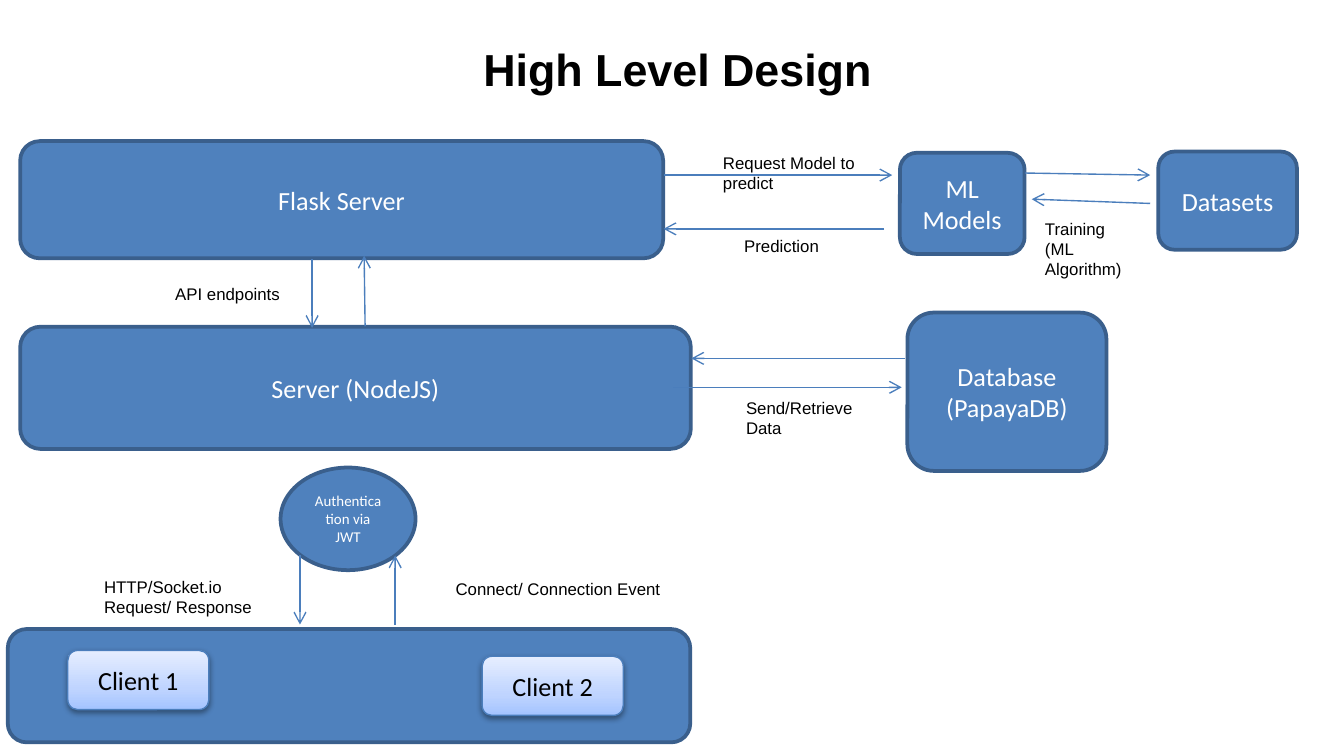
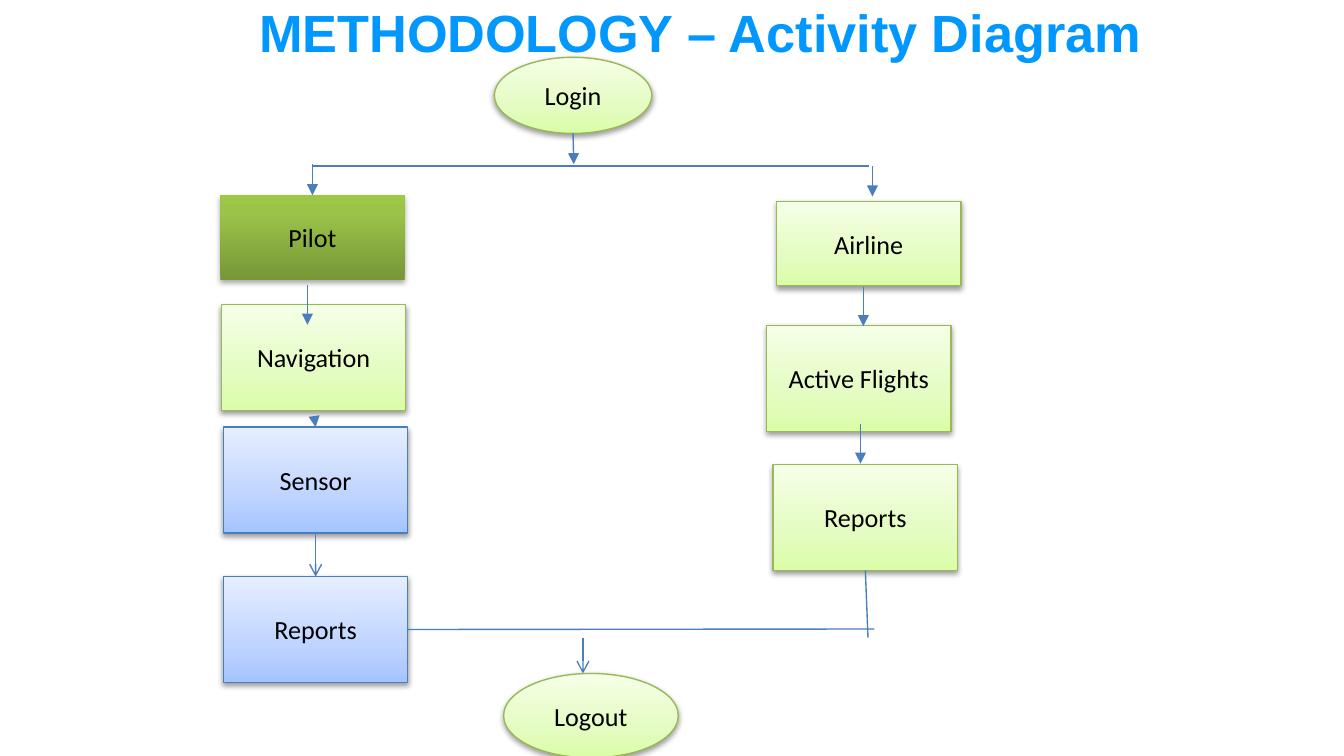
import pptx
import pptx.util
import pptx.dml.color
import pptx.enum.dml
import pptx.enum.shapes
import pptx.enum.text
import pptx.oxml.ns
import lxml.etree

Pt = pptx.util.Pt
RGBColor = pptx.dml.color.RGBColor
SHAPE = pptx.enum.shapes.MSO_SHAPE
ALIGN = pptx.enum.text.PP_ALIGN
ANCHOR = pptx.enum.text.MSO_ANCHOR
AUTO_SIZE = pptx.enum.text.MSO_AUTO_SIZE
qn = pptx.oxml.ns.qn

# Shared colours
WHITE = RGBColor(0xFF, 0xFF, 0xFF)
BLACK = RGBColor(0x00, 0x00, 0x00)
HEADING_BLUE = RGBColor(0x00, 0x98, 0xFF)
SOLID_BLUE = RGBColor(0x4F, 0x81, 0xBD)
DARK_BLUE = RGBColor(0x3A, 0x5F, 0x8C)
ARROW_BLUE = RGBColor(0x4B, 0x7E, 0xBC)
LIME_EDGE = RGBColor(0x98, 0xB9, 0x55)
BLUE_FADE = ((0, RGBColor(0xA4, 0xC4, 0xFF)), (35, RGBColor(0xBF, 0xD4, 0xFF)),
             (100, RGBColor(0xE6, 0xEE, 0xFF)))
LIME_FADE = ((0, RGBColor(0xDA, 0xFD, 0xA7)), (35, RGBColor(0xE4, 0xFC, 0xC2)),
             (100, RGBColor(0xF5, 0xFF, 0xE7)))
GREEN_FADE = ((0, RGBColor(0x77, 0x97, 0x37)), (80, RGBColor(0x9B, 0xC3, 0x48)),
              (100, RGBColor(0x9D, 0xC7, 0x46)))

# Box looks: fill (colour or fade), edge, edge width, text colour, shadow (opacity, distance)
LOOKS = {
    "solid": (SOLID_BLUE, DARK_BLUE, 2, WHITE, None),
    "blue": (BLUE_FADE, ARROW_BLUE, 0.75, BLACK, (38, 1.6)),
    "lime": (LIME_FADE, LIME_EDGE, 0.75, BLACK, (38, 1.6)),
    "green": (GREEN_FADE, None, 0, BLACK, (35, 1.8)),
}
SHADOW_BLUR = 3.1

# Text formats
BOX_FONT = {"name": "Calibri", "size": Pt(14)}
SMALL_FONT = {"name": "Calibri", "size": Pt(8)}
LABEL_FONT = {"name": "Arial", "size": Pt(9)}
DESIGN_FONT = {"name": "Arial", "size": Pt(24), "bold": True}
METHOD_FONT = {"name": "Arial", "size": Pt(28), "bold": True}
BOX_FRAME = {"word_wrap": True, "vertical_anchor": ANCHOR.MIDDLE}
LABEL_FRAME = {"word_wrap": True, "auto_size": AUTO_SIZE.SHAPE_TO_FIT_TEXT}
METHOD_FRAME = {"word_wrap": True, "vertical_anchor": ANCHOR.BOTTOM,
                "margin_top": Pt(7.2), "margin_bottom": Pt(7.2)}

# Slide 1: key: (text, outline, look, font, left, top, width, height)
ROUND, OVAL, RECT = SHAPE.ROUNDED_RECTANGLE, SHAPE.OVAL, SHAPE.RECTANGLE
CLIENT_SIZE = (75.6, 31.7)
DESIGN_BOXES = {
    "node": ("Server (NodeJS)", ROUND, "solid", BOX_FONT, 10.8, 175, 359.3, 65.5),
    "flask": ("Flask Server", ROUND, "solid", BOX_FONT, 10.8, 75.6, 344.5, 62.8),
    "login check": ("Authentication via JWT", OVAL, "solid", SMALL_FONT, 150.3, 250.5, 72.3, 55),
    "database": ("Database\n(PapayaDB)", ROUND, "solid", BOX_FONT, 486.1, 167.5, 106.6, 84.8),
    "models": ("ML Models", ROUND, "solid", BOX_FONT, 482.1, 81.9, 66.8, 54.2),
    "clients": ("", ROUND, "solid", BOX_FONT, 4.2, 337, 365.6, 60.7),
    "client 1": ("Client 1", ROUND, "blue", BOX_FONT, 36.3, 348.5, *CLIENT_SIZE),
    "client 2": ("Client 2", ROUND, "blue", BOX_FONT, 258.3, 351.6, *CLIENT_SIZE),
    "datasets": ("Datasets", ROUND, "solid", BOX_FONT, 620.5, 81.2, 74.3, 52.6),
}
DESIGN_LABELS = [
    ("HTTP/Socket.io Request/ Response", 48.7, 305.5, 110.2, 29),
    ("Connect/ Connection Event", 237, 306.3, 126.7, 18),
    ("API endpoints", 86.8, 148.3, 79.2, 18),
    ("Send/Retrieve Data", 392.6, 209.5, 79.2, 29),
    ("Training (ML Algorithm)", 552.7, 113.6, 63.4, 40),
    ("Prediction", 391.6, 122.6, 59.8, 18),
    ("Request Model to predict", 380.2, 78.2, 104.4, 29),
]
# Lines: (from x, y), (to x, y), head, box side it leaves, box side it reaches
DESIGN_LINES = [
    ((211.7, 334.8), (211.7, 297.6), "arrow", None, None),
    ((160.7, 297.6), (160.7, 334.6), "arrow", None, None),
    ((195.6, 174.8), (195.1, 137), "arrow", None, None),
    ((167.2, 139), (167.2, 175.7), "arrow", None, None),
    ((355.5, 93.8), (478, 93.8), "arrow", None, None),
    ((549, 92.7), (616.2, 93.8), "arrow", None, None),
    ((360.7, 207.5), (483.1, 207.5), "arrow", None, None),
    ((484.8, 192), (370.4, 192), "arrow", None, None),
    ((473.6, 122.6), (355.5, 122.6), "arrow", None, None),
    ((616.2, 109), (552.7, 106.7), "arrow", None, None),
]

# Slide 2
LOW, TALL = (98.8, 45.2), (98.8, 56.7)
ACTIVITY_BOXES = {
    "login": ("Login", OVAL, "lime", BOX_FONT, 264.8, 30.7, 84.4, 40.8),
    "pilot": ("Pilot", RECT, "green", BOX_FONT, 118, 104.6, *LOW),
    "airline": ("Airline", RECT, "lime", BOX_FONT, 416, 107.9, *LOW),
    "navigation": ("Navigation", RECT, "lime", BOX_FONT, 118.6, 163.2, *TALL),
    "flights": ("Active Flights", RECT, "lime", BOX_FONT, 410.7, 174.4, *TALL),
    "sensor": ("Sensor", RECT, "blue", BOX_FONT, 119.7, 228.8, *TALL),
    "airline reports": ("Reports", RECT, "lime", BOX_FONT, 414.2, 248.9, *TALL),
    "logout": ("Logout", OVAL, "lime", BOX_FONT, 269.8, 360.8, 93.6, 45.2),
    "pilot reports": ("Reports", RECT, "blue", BOX_FONT, 119.7, 308.9, *TALL),
}
TOP, BOTTOM, RIGHT = 0, 2, 3
ACTIVITY_LINES = [
    ((307, 71.5), (307.4, 88), "triangle", None, None),
    ((167.6, 89), (465.3, 89), None, None, None),
    ((167.4, 88), (167.4, 104.6), "triangle", None, ("pilot", TOP)),
    ((467.4, 89), (467.4, 105.3), "triangle", None, None),
    ((164.7, 152.8), (164.7, 174), "triangle", None, None),
    ((462.5, 153.6), (462.5, 174.8), "triangle", None, None),
    ((461, 227), (461, 248.4), "triangle", None, None),
    ((168.5, 224.6), (169.1, 228.8), "triangle", None, ("sensor", TOP)),
    ((312.3, 341.6), (312.3, 360.8), "arrow", None, None),
    ((218.5, 337.2), (468.4, 337), None, ("pilot reports", RIGHT), None),
    ((463.6, 305.6), (465, 341.6), None, ("airline reports", BOTTOM), None),
    ((169.1, 285.5), (169.1, 308.9), "arrow", ("sensor", BOTTOM), ("pilot reports", TOP)),
]


def add_xml(parent, tag, **attributes):
    return lxml.etree.SubElement(parent, qn(tag), {k: str(v) for k, v in attributes.items()})


def apply_format(target, values):
    for attribute, value in values.items():
        setattr(target, attribute, value)


def write_text(shape, text, font, colour, align, frame_format):
    frame = shape.text_frame
    apply_format(frame, frame_format)
    frame.text = text
    for paragraph in frame.paragraphs:
        paragraph.alignment = align
        for run in paragraph.runs:
            apply_format(run.font, font)
            run.font.color.rgb = colour


def add_label(slide, text, place, font, colour=BLACK, align=ALIGN.LEFT, frame_format=LABEL_FRAME):
    label = slide.shapes.add_textbox(*map(Pt, place))
    write_text(label, text, font, colour, align, frame_format)


def fill_fade(shape, stops):
    """Fade upwards through the given (percent, colour) stops."""
    shape.fill.gradient()
    shape.fill.gradient_angle = 90
    stop_list = shape.element.spPr.find(qn("a:gradFill")).find(qn("a:gsLst"))
    for stop in list(stop_list):
        stop_list.remove(stop)
    for percent, colour in stops:
        stop = add_xml(stop_list, "a:gs", pos=percent * 1000)
        add_xml(stop, "a:srgbClr", val=colour)


def cast_shadow(shape, opacity, distance):
    effects = shape.element.spPr.find(qn("a:effectLst"))
    shadow = add_xml(effects, "a:outerShdw", blurRad=Pt(SHADOW_BLUR), dist=Pt(distance),
                     dir=90 * 60000, rotWithShape=0)
    colour = add_xml(shadow, "a:srgbClr", val=BLACK)
    add_xml(colour, "a:alpha", val=opacity * 1000)


def add_box(slide, text, outline, look, font, *place):
    fill, edge, edge_width, text_colour, shadow = LOOKS[look]
    box = slide.shapes.add_shape(outline, *map(Pt, place))
    if isinstance(fill, RGBColor):
        box.fill.solid()
        box.fill.fore_color.rgb = fill
    else:
        fill_fade(box, fill)
    if edge is None:
        box.line.fill.background()
    else:
        box.line.color.rgb = edge
        box.line.width = Pt(edge_width)
    box.shadow.inherit = False
    if shadow:
        cast_shadow(box, *shadow)
    if text:
        write_text(box, text, font, text_colour, ALIGN.CENTER, BOX_FRAME)
    return box


def add_line(slide, boxes, start, end, head, leaves, reaches):
    line = slide.shapes.add_connector(pptx.enum.shapes.MSO_CONNECTOR.STRAIGHT,
                                      *map(Pt, start + end))
    line.line.color.rgb = ARROW_BLUE
    line.line.width = Pt(0.75)
    if head:
        add_xml(line.line._get_or_add_ln(), "a:tailEnd", type=head)
    add_xml(line._element.spPr, "a:effectLst")
    for join, side in ((line.begin_connect, leaves), (line.end_connect, reaches)):
        if side:
            join(boxes[side[0]], side[1])


def add_diagram(slide, box_data, lines, labels=()):
    boxes = {key: add_box(slide, *values) for key, values in box_data.items()}
    for text, *place in labels:
        add_label(slide, text, place, LABEL_FONT)
    for line in lines:
        add_line(slide, boxes, *line)


def main():
    deck = pptx.Presentation()
    deck.slide_width, deck.slide_height = Pt(720), Pt(405)
    blank = deck.slide_layouts[6]

    # High level design
    design = deck.slides.add_slide(blank)
    add_label(design, "High Level Design", (194.4, 18.8, 337, 36), DESIGN_FONT,
              align=ALIGN.CENTER)
    add_diagram(design, DESIGN_BOXES, DESIGN_LINES, DESIGN_LABELS)

    # Activity diagram
    activity = deck.slides.add_slide(blank)
    add_label(activity, "METHODOLOGY – Activity Diagram", (131.8, -12.2, 573.8, 53.3),
              METHOD_FONT, HEADING_BLUE, frame_format=METHOD_FRAME)
    add_diagram(activity, ACTIVITY_BOXES, ACTIVITY_LINES)

    deck.save("out.pptx")


if __name__ == "__main__":
    main()
